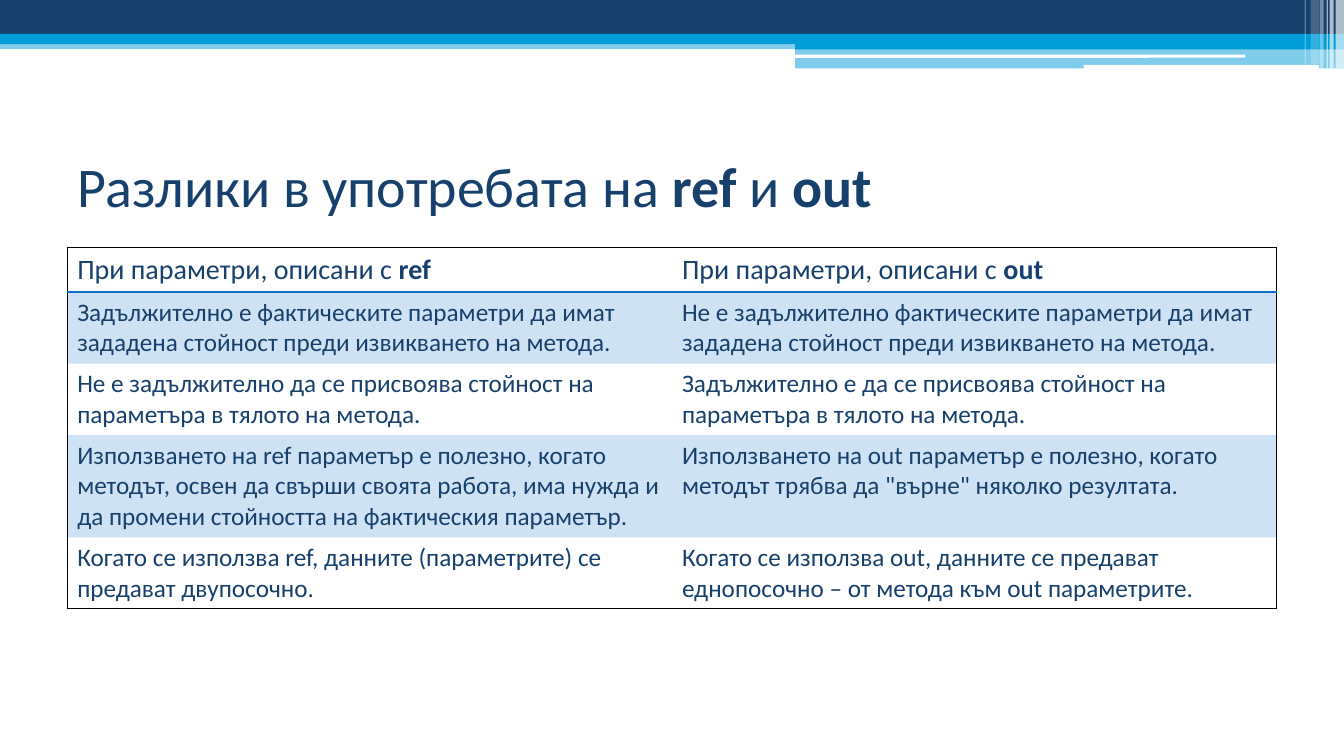
from lxml import etree
from pptx import Presentation
from pptx import util as u
from pptx.dml.color import RGBColor
from pptx.enum import shapes, text
from pptx.oxml.ns import qn

COLORS = {"navy": "17406D", "cyan": "009DD9", "white": "FFFFFF", "blue": "0F6FC6", "black": "000000"}
FONT = "Calibri"


def paint(fill, color, opacity=100):
    fill.solid()
    fill.fore_color.rgb = RGBColor.from_string(COLORS[color])
    if opacity < 100:
        tone = fill._xPr.find(qn("a:solidFill"))[0]
        etree.SubElement(tone, qn("a:alpha"), val=str(opacity * 1000))


def write(para, spans, size):
    for words, bold in spans:
        span = para.add_run()
        span.text = words
        span.font.name = FONT
        span.font.size = u.Pt(size)
        span.font.bold = bold
        span.font.color.rgb = RGBColor.from_string(COLORS["navy"])


deck = Presentation()
deck.slide_width, deck.slide_height = u.Pt(960), u.Pt(540)
page = deck.slides.add_slide(deck.slide_layouts[6])

RECT = shapes.MSO_SHAPE.RECTANGLE
ROUND = shapes.MSO_SHAPE.ROUNDED_RECTANGLE
bands = [
    (RECT, 0, 28.5, 960, 6.6, "cyan", 50),
    (RECT, 0, 0, 960, 24.5, "navy", 100),
    (RECT, 0, 24.3, 960, 7.2, "cyan", 100),
    (RECT, 568, 28.3, 392, 7.1, "cyan", 100),
    (RECT, 568, 34.7, 392, 14.2, "cyan", 50),
    (ROUND, 567.5, 39.1, 322, 2.2, "white", 100),
    (ROUND, 774, 46.4, 168, 2.9, "white", 100),
    (RECT, 954, 0, 6, 49, "white", 65),
    (RECT, 949.7, 0, 2.9, 49, "white", 65),
    (RECT, 947.6, 0, 0.9, 49, "white", 60),
    (RECT, 942.6, 0, 2.9, 49, "white", 40),
    (RECT, 936.2, 0, 5.8, 46.1, "white", 20),
    (RECT, 931.9, 0, 0.9, 46.1, "white", 30),
]
for kind, left, top, width, height, color, opacity in bands:
    band = page.shapes.add_shape(kind, u.Pt(left), u.Pt(top), u.Pt(width), u.Pt(height))
    band.shadow.inherit = False
    band.line.fill.background()
    paint(band.fill, color, opacity)

box = page.shapes.add_textbox(u.Pt(48), u.Pt(90), u.Pt(864), u.Pt(84))
box.text_frame.word_wrap = True
box.text_frame.vertical_anchor = text.MSO_ANCHOR.MIDDLE
title = [("Разлики в употребата на ", False), ("ref ", True), ("и ", False), ("out", True)]
write(box.text_frame.paragraphs[0], title, 40)

rows = [
    ([("При параметри, описани с ", False), ("ref", True)],
     [("При параметри, описани с ", False), ("out", True)]),
    ([("Задължително е фактическите параметри да имат зададена стойност преди извикването на метода.", False)],
     [("Не е задължително фактическите параметри да имат зададена стойност преди извикването на метода.", False)]),
    ([("Не е задължително да се присвоява стойност на параметъра в тялото на метода.", False)],
     [("Задължително е да се присвоява стойност на параметъра в тялото на метода.", False)]),
    ([("Използването на ref параметър е полезно, когато методът, освен да свърши своята работа, "
       "има нужда и да промени стойността на фактическия параметър.", False)],
     [("Използването на out параметър е полезно, когато методът трябва да \"върне\" няколко резултата.", False)]),
    ([("Когато се използва ref, данните (параметрите) се предават двупосочно.", False)],
     [("Когато се използва out, данните се предават еднопосочно – от метода към out параметрите.", False)]),
]
heights = [31.6, 51.1, 51.1, 73.1, 51.1]
last = len(rows) - 1
frame = page.shapes.add_table(len(rows), 2, u.Pt(48), u.Pt(177), u.Pt(864), u.Pt(sum(heights)))
table = frame.table
table.first_row = False
table.horz_banding = False
for r, (row, height) in enumerate(zip(rows, heights)):
    table.rows[r].height = u.Pt(height)
    for c, spans in enumerate(row):
        cell = table.cell(r, c)
        write(cell.text_frame.paragraphs[0], spans, 18 if r else 20)
        if r % 2:
            paint(cell.fill, "blue", 20)
        else:
            cell.fill.background()
        borders = {
            "lnL": "black" if c == 0 else None,
            "lnR": "black" if c == 1 else None,
            "lnT": {0: "black", 1: "blue"}.get(r),
            "lnB": {0: "blue", last: "black"}.get(r),
        }
        for place, (side, color) in enumerate(borders.items()):
            edge = etree.Element(qn(f"a:{side}"), w=str(u.Pt(1)))
            cell._tc.tcPr.insert(place, edge)
            if color:
                ink = etree.SubElement(edge, qn("a:solidFill"))
                etree.SubElement(ink, qn("a:srgbClr"), val=COLORS[color])
            else:
                etree.SubElement(edge, qn("a:noFill"))

deck.save("out.pptx")
